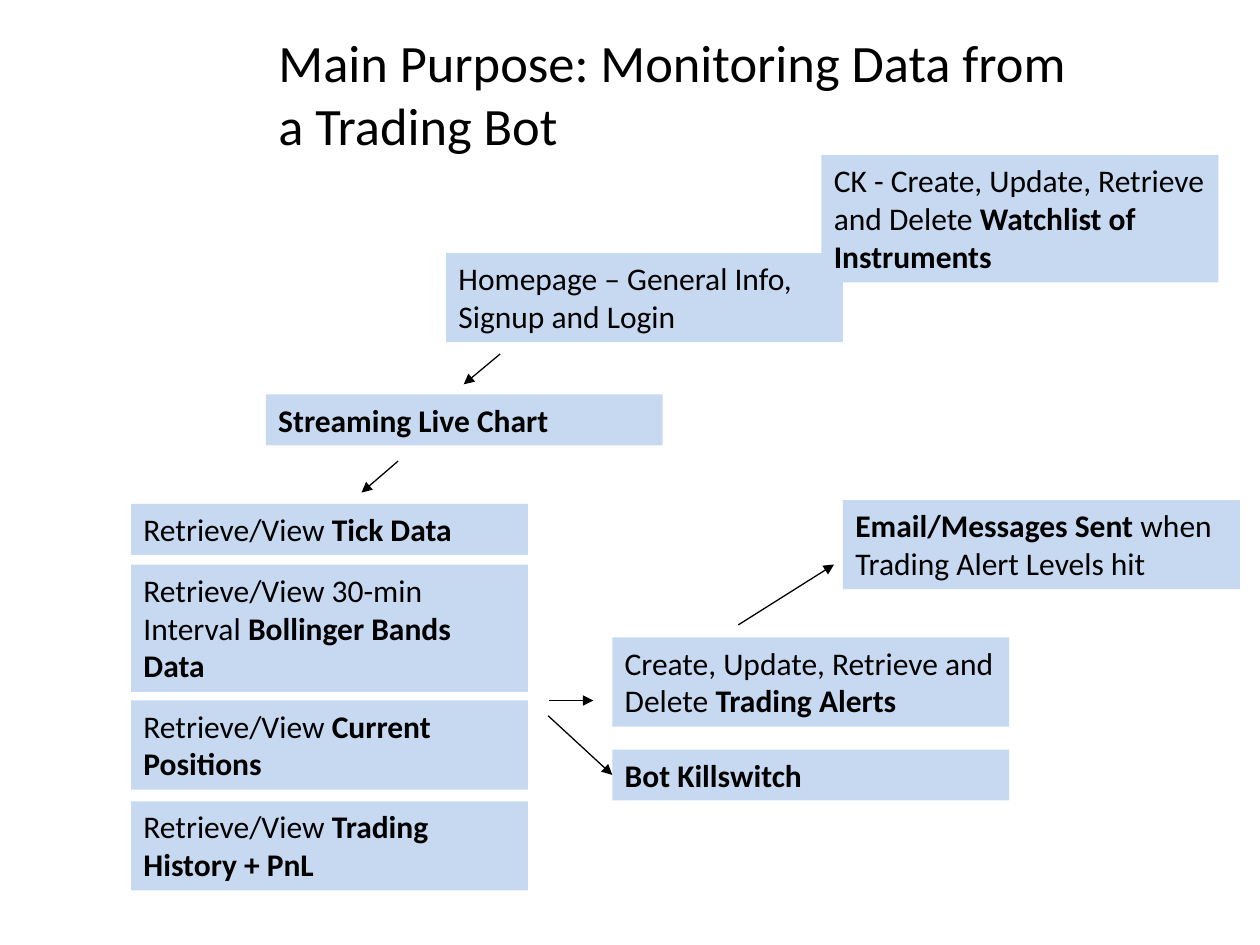
import dataclasses

import lxml.etree
import pptx
import pptx.dml.color
import pptx.enum.shapes
import pptx.enum.text
import pptx.oxml.ns
import pptx.util

Pt = pptx.util.Pt


@dataclasses.dataclass(frozen=True)
class Theme:
    font: str = "Calibri"
    ink: str = "000000"
    box_fill: str = "C6D9F1"
    title_size: float = 30
    box_size: float = 18
    line_width: float = 0.75


def rgb(color):
    return pptx.dml.color.RGBColor.from_string(color)


def write_text(text_frame, text, *, size, color, font):
    """Write left-aligned text in which **double asterisks** mark bold words."""
    text_frame.word_wrap = True
    text_frame.auto_size = pptx.enum.text.MSO_AUTO_SIZE.NONE
    text_frame.vertical_anchor = pptx.enum.text.MSO_ANCHOR.TOP
    paragraph = text_frame.paragraphs[0]
    paragraph.alignment = pptx.enum.text.PP_ALIGN.LEFT
    paragraph.line_spacing = 1.0
    paragraph.space_before = Pt(0)
    for index, part in enumerate(text.split("**")):
        if part:
            run = paragraph.add_run()
            run.text = part
            run.font.name = font
            run.font.size = Pt(size)
            run.font.bold = index % 2 == 1
            run.font.color.rgb = rgb(color)


class FlowSlide:
    BOX_WIDTH = 226.8
    BOX_HEIGHTS = {1: 29.08, 2: 50.9, 3: 72.7}  # by number of text lines

    def __init__(self, presentation, theme):
        self.theme = theme
        self.slide = presentation.slides.add_slide(presentation.slide_layouts[5])

    def title(self, text, left, top, width, height):
        shape = self.slide.shapes.title
        shape.left, shape.top = Pt(left), Pt(top)
        shape.width, shape.height = Pt(width), Pt(height)
        write_text(shape.text_frame, text, size=self.theme.title_size,
                   color=self.theme.ink, font=self.theme.font)

    def box(self, text, left, top, lines):
        shape = self.slide.shapes.add_shape(
            pptx.enum.shapes.MSO_SHAPE.RECTANGLE, Pt(left), Pt(top),
            Pt(self.BOX_WIDTH), Pt(self.BOX_HEIGHTS[lines]))
        shape.shadow.inherit = False
        shape.fill.solid()
        shape.fill.fore_color.rgb = rgb(self.theme.box_fill)
        shape.line.fill.background()
        write_text(shape.text_frame, text, size=self.theme.box_size,
                   color=self.theme.ink, font=self.theme.font)

    def arrow(self, start, end):
        connector = self.slide.shapes.add_connector(
            pptx.enum.shapes.MSO_CONNECTOR.STRAIGHT,
            *(Pt(value) for value in (*start, *end)))
        connector.line.color.rgb = rgb(self.theme.ink)
        connector.line.width = Pt(self.theme.line_width)
        qn = pptx.oxml.ns.qn
        properties = connector.element.spPr
        line = properties.find(qn("a:ln"))
        lxml.etree.SubElement(line, qn("a:tailEnd"), type="triangle")
        lxml.etree.SubElement(properties, qn("a:effectLst"))


def main():
    presentation = pptx.Presentation()
    presentation.slide_width, presentation.slide_height = Pt(720), Pt(540)
    flow = FlowSlide(presentation, Theme())

    flow.title("Main Purpose: Monitoring Data from a Trading Bot",
               151.9, 13.7, 484.6, 79.9)

    data_left, chart_left, action_left = 74.9, 151.9, 349.9
    boxes = [
        ("**Streaming Live Chart**", chart_left, 225.4, 1),
        ("Retrieve/View **Tick Data**", data_left, 288, 1),
        ("Retrieve/View 30-min Interval **Bollinger Bands Data**",
         data_left, 322.6, 3),
        ("Retrieve/View **Current Positions**", data_left, 400.3, 2),
        ("Retrieve/View **Trading History + PnL**", data_left, 457.9, 2),
        ("Create, Update, Retrieve and Delete **Trading Alerts**",
         action_left, 364.3, 2),
        ("**Bot Killswitch**", action_left, 428.4, 1),
        ("**Email/Messages Sent** when Trading Alert Levels hit",
         481.7, 285.8, 2),
        ("Homepage – General Info, Signup and Login", 254.9, 144.7, 2),
        ("CK - Create, Update, Retrieve and Delete **Watchlist of Instruments**",
         469.4, 88.6, 3),
    ]
    for text, left, top, lines in boxes:
        flow.box(text, left, top, lines)

    arrows = [
        ((285.8, 202.3), (265, 219.6)),
        ((227.5, 263.5), (206.6, 281.5)),
        ((313.9, 400.3), (339.1, 400.3)),
        ((313.2, 409), (349.9, 442.8)),
        ((421.9, 357.1), (476.6, 322.6)),
    ]
    for start, end in arrows:
        flow.arrow(start, end)

    presentation.save("out.pptx")


if __name__ == "__main__":
    main()
